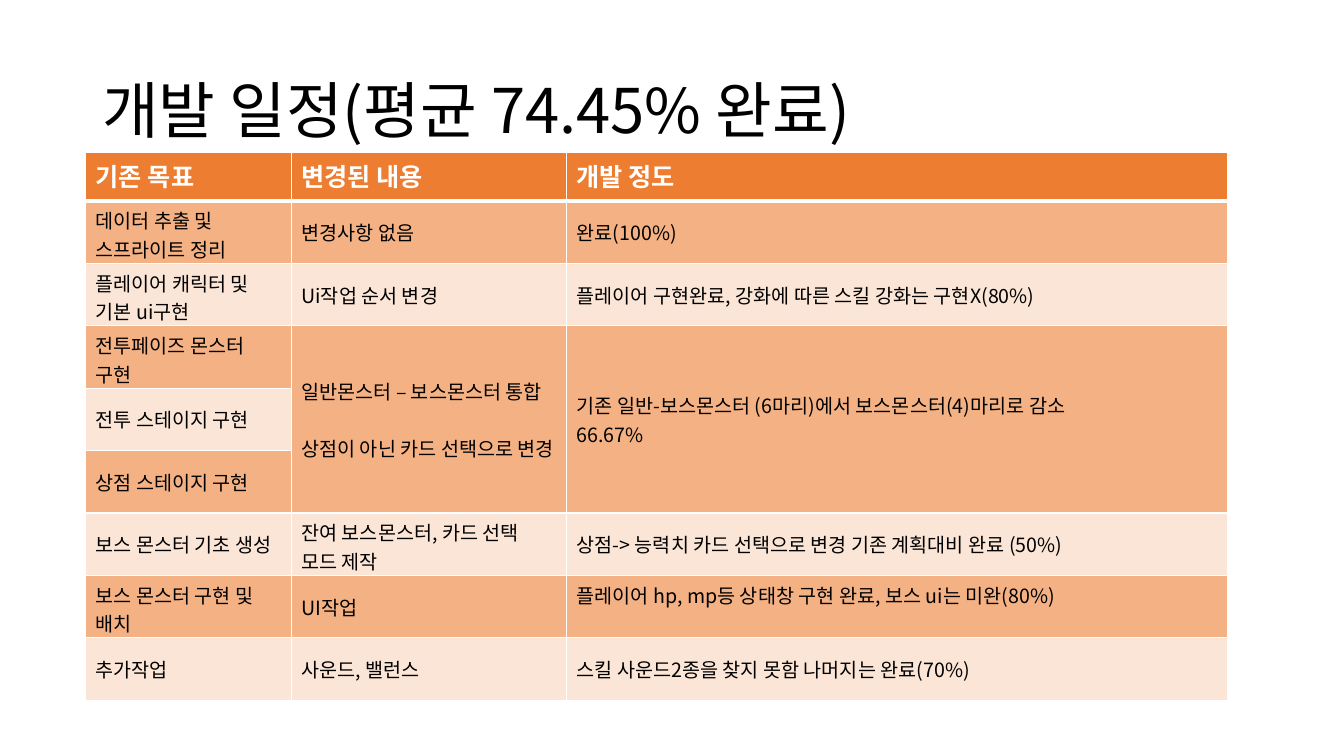
from lxml import etree
from pptx import Presentation
from pptx.dml.color import RGBColor
from pptx.enum.text import MSO_ANCHOR
from pptx.oxml.ns import qn
from pptx.util import Pt

MIDDLE, TOP = MSO_ANCHOR.MIDDLE, MSO_ANCHOR.TOP
FONT = "Noto Sans CJK KR"
WHITE, BLACK, ORANGE = "FFFFFF", "000000", "ED7D31"
BANDS = ("F4B183", "FBE5D6")
COLUMN_WIDTHS = (146.9, 196.6, 472)
HEADER_HEIGHT, ROW_HEIGHT = 34.6, 44.6
BODY_LINE = 20.4
MERGED_ROWS = (3, 5)
STATUS_ROW = 7

SCHEDULE = [
    ("기존 목표", "변경된 내용", "개발 정도"),
    ("데이터 추출 및 스프라이트 정리", "변경사항 없음", "완료(100%)"),
    ("플레이어 캐릭터 및 기본 ui구현", "Ui작업 순서 변경",
     "플레이어 구현완료, 강화에 따른 스킬 강화는 구현X(80%)"),
    ("전투페이즈 몬스터 구현",
     "일반몬스터 – 보스몬스터 통합\n상점이 아닌 카드 선택으로 변경",
     "기존 일반-보스몬스터 (6마리)에서 보스몬스터(4)마리로 감소\n66.67%"),
    ("전투 스테이지 구현",),
    ("상점 스테이지 구현",),
    ("보스 몬스터 기초 생성", "잔여 보스몬스터, 카드 선택 모드 제작",
     "상점-> 능력치 카드 선택으로 변경 기존 계획대비 완료 (50%)"),
    ("보스 몬스터 구현 및 배치", "UI작업",
     "플레이어 hp, mp등 상태창 구현 완료, 보스 ui는 미완(80%)"),
    ("추가작업", "사운드, 밸런스",
     "스킬 사운드2종을 찾지 못함 나머지는 완료(70%)"),
]


def rgb(value):
    """Turn a hex string into a colour."""
    return RGBColor.from_string(value)


def write(tf, text, size=14, color=BLACK, bold=False, spacing=None):
    """Fill a text frame, one paragraph per line of text."""
    for i, line in enumerate(text.split("\n")):
        p = tf.add_paragraph() if i else tf.paragraphs[0]
        if spacing:
            p.line_spacing = spacing
        r = p.add_run()
        r.text = line
        r.font.size, r.font.bold, r.font.name = Pt(size), bold, FONT
        r.font.color.rgb = rgb(color)
        east_asian = etree.SubElement(r.font._element, qn("a:ea"))
        east_asian.set("typeface", FONT)


def set_borders(cell, top=1, bottom=1):
    """Draw white borders around a cell."""
    tc_pr = cell._tc.get_or_add_tcPr()
    widths = {"a:lnL": 1, "a:lnR": 1, "a:lnT": top, "a:lnB": bottom}
    for i, (tag, width) in enumerate(widths.items()):
        line = etree.Element(qn(tag), w=str(Pt(width)))
        fill = etree.SubElement(line, qn("a:solidFill"))
        etree.SubElement(fill, qn("a:srgbClr"), val=WHITE)
        tc_pr.insert(i, line)


def add_title(s, left, top, width, height):
    """Place the slide title in the given box."""
    tf = s.shapes.add_textbox(Pt(left), Pt(top), Pt(width), Pt(height)).text_frame
    tf.word_wrap = True
    tf.vertical_anchor = MIDDLE
    write(tf, "개발 일정(평균 74.45% 완료)", size=44, spacing=0.9)


def add_schedule(s, left, top):
    """Place the schedule table with its top left corner at the given point."""
    heights = [HEADER_HEIGHT] + [ROW_HEIGHT] * (len(SCHEDULE) - 1)
    table = s.shapes.add_table(
        len(SCHEDULE), len(COLUMN_WIDTHS), Pt(left), Pt(top),
        Pt(sum(COLUMN_WIDTHS)), Pt(sum(heights))).table
    for column, width in zip(table.columns, COLUMN_WIDTHS):
        column.width = Pt(width)
    for i, height in enumerate(heights):
        table.rows[i].height = Pt(height)
        for j in range(len(COLUMN_WIDTHS)):
            cell = table.cell(i, j)
            cell.fill.solid()
            cell.fill.fore_color.rgb = rgb(BANDS[(i - 1) % 2] if i else ORANGE)
            cell.vertical_anchor = MIDDLE if i else TOP
            set_borders(cell, top=3 if i == 1 else 1, bottom=1 if i else 3)
        for j, text in enumerate(SCHEDULE[i]):
            tf = table.cell(i, j).text_frame
            if i:
                write(tf, text)
            else:
                write(tf, text, size=18, color=WHITE, bold=True)

    first, last = MERGED_ROWS
    for j in (1, 2):
        table.cell(first, j).merge(table.cell(last, j))
    table.cell(first, 1).text_frame.paragraphs[1].space_before = Pt(BODY_LINE)
    table.cell(STATUS_ROW, 2).margin_bottom = Pt(3.6 + BODY_LINE)


def main():
    """Build the slide and save it."""
    prs = Presentation()
    prs.slide_width, prs.slide_height = Pt(960), Pt(540)
    s = prs.slides.add_slide(prs.slide_layouts[6])
    add_title(s, 66, 28.8, 828, 104.4)
    add_schedule(s, 61.2, 108.9)
    prs.save("out.pptx")


if __name__ == "__main__":
    main()
